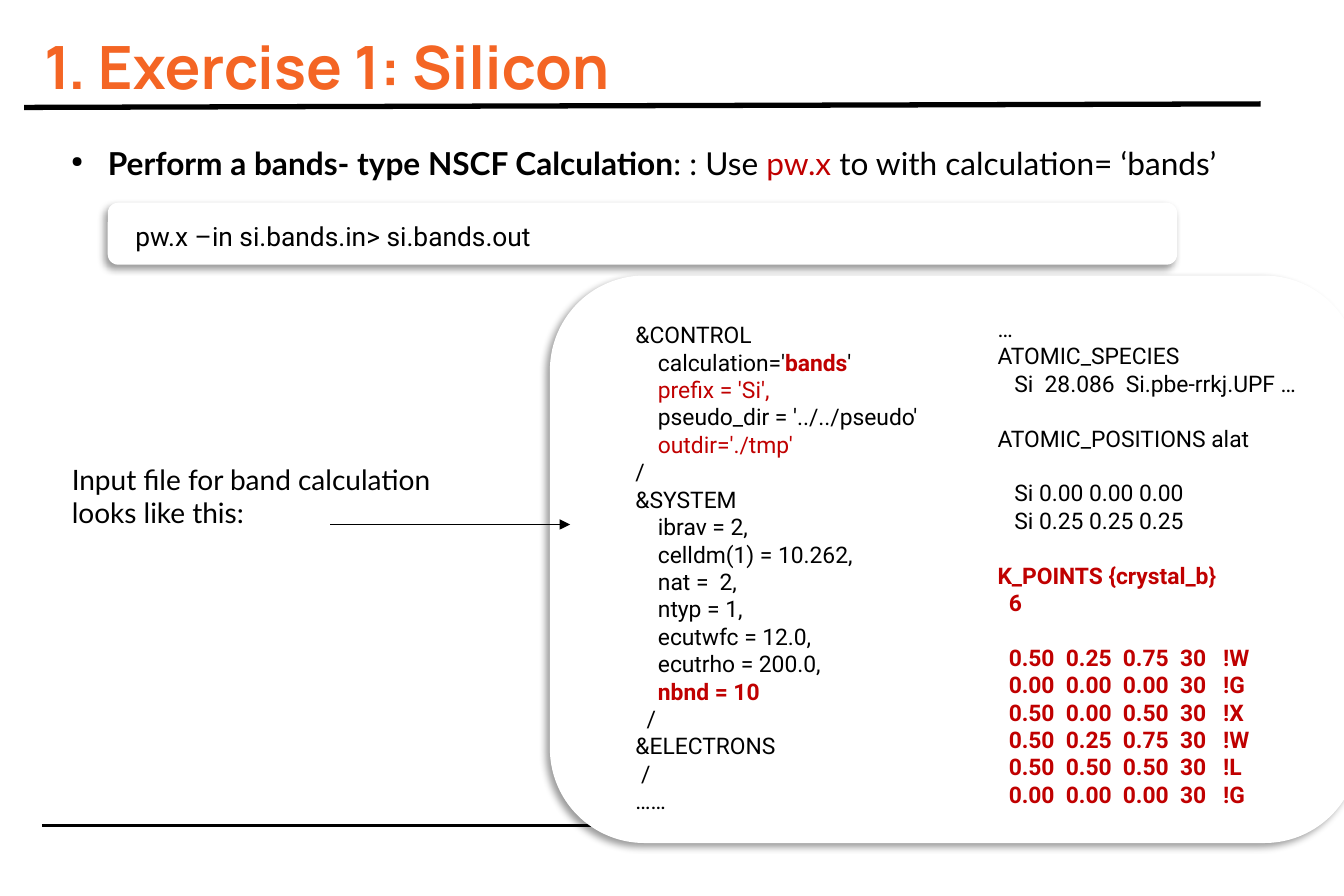
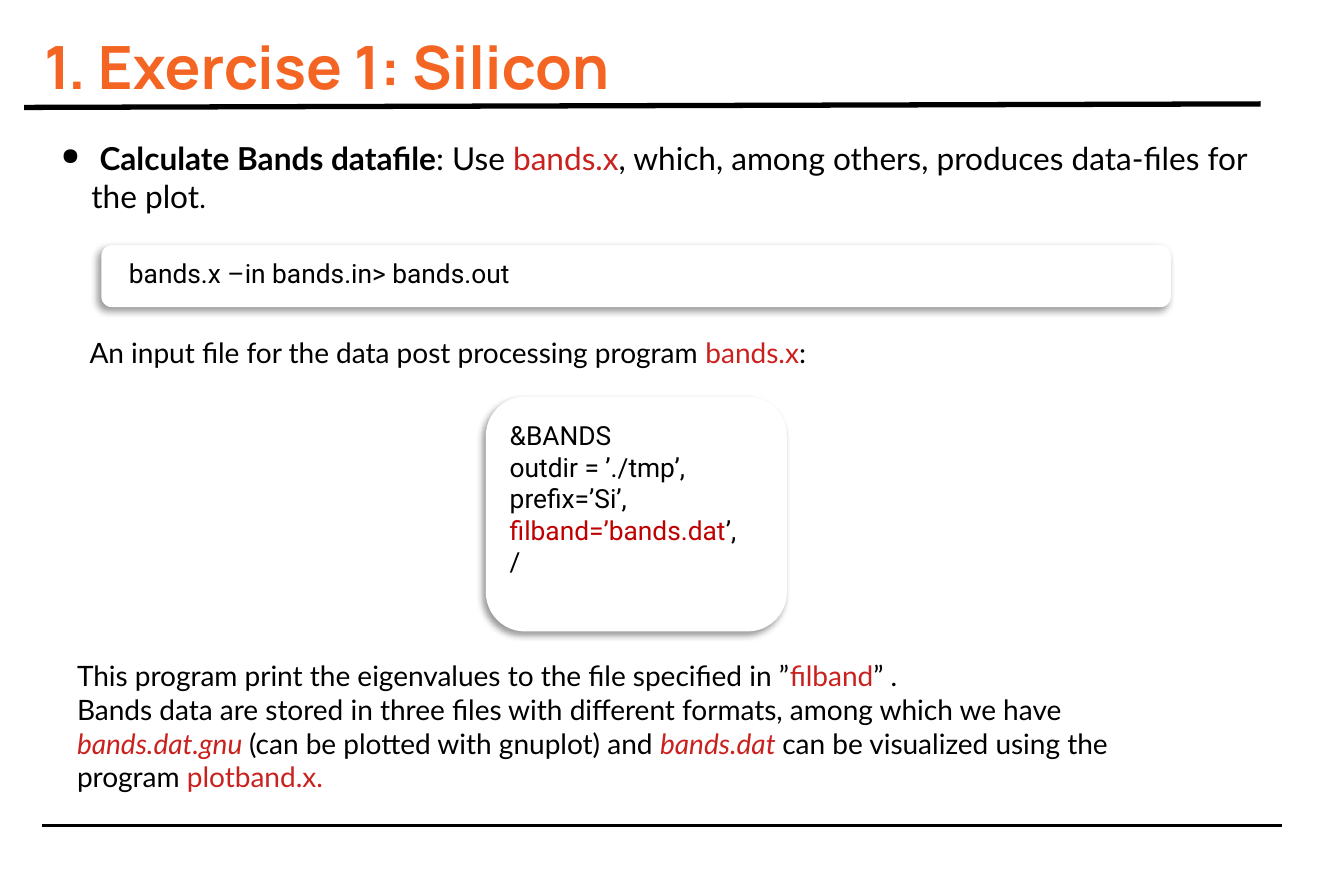
from lxml import etree
from pptx import Presentation
from pptx.dml.color import RGBColor
from pptx.enum import shapes, text
from pptx.oxml.ns import qn
from pptx.util import Pt

BLACK = RGBColor(0x00, 0x00, 0x00)
WHITE = RGBColor(0xFF, 0xFF, 0xFF)
ORANGE = RGBColor(0xF4, 0x65, 0x24)
DARK_RED = RGBColor(0xC0, 0x00, 0x00)
RED = RGBColor(0xC9, 0x21, 0x1E)

TITLE_FONT, BODY_FONT, CODE_FONT = "Manrope", "Lato", "Roboto"
CODE_STEP = 3.2     # width of one column of indent in a code listing
CODE_LINE = 15.6    # height of one line in a code listing

# Run styles
BOLD = {"bold": True}
KEY = {"color": DARK_RED}
KEY_BOLD = {"color": DARK_RED, "bold": True}
NAME = {"color": RED}
FILE = {"color": RED, "italic": True}
WIDE = {"tracking": CODE_STEP}
WIDER = {"tracking": 2 * CODE_STEP}

TITLE = "1. Exercise 1: Silicon"

BANDS_TASK = [
    (" ", {"size": 14}),
    ("Perform a bands- type NSCF Calculation", BOLD),
    ": : Use ", ("pw.x ", KEY), "to with calculation= ‘bands’",
]
BANDS_COMMAND = "pw.x –in si.bands.in> si.bands.out"
INPUT_NOTE = "Input file for band calculation looks like this:"

# Code lines: (indent in columns, blank lines above, runs)
CONTROL_CODE = [
    (0, 0, ["&CONTROL"]),
    (4, 0, ["calculation='", ("bands", KEY_BOLD), "'"]),
    (4, 0, [("prefix = 'Si',", KEY)]),
    (4, 0, ["pseudo_dir = '../../pseudo'"]),
    (4, 0, [("outdir='./tmp'", KEY)]),
    (0, 0, ["/"]),
    (0, 0, ["&SYSTEM"]),
    (4, 0, ["ibrav = 2,"]),
    (4, 0, ["celldm(1) = 10.262,"]),
    (4, 0, ["nat =", (" ", WIDE), "2,"]),
    (4, 0, ["ntyp = 1,"]),
    (4, 0, ["ecutwfc = 12.0,"]),
    (4, 0, ["ecutrho = 200.0,"]),
    (4, 0, [("nbnd = 10", KEY_BOLD)]),
    (2, 0, ["/"]),
    (0, 0, ["&ELECTRONS"]),
    (1, 0, ["/"]),
    (0, 0, ["……"]),
]
K_POINTS = [
    ("0.50", "0.25", "0.75", "30", "!W"),
    ("0.00", "0.00", "0.00", "30", "!G"),
    ("0.50", "0.00", "0.50", "30", "!X"),
    ("0.50", "0.25", "0.75", "30", "!W"),
    ("0.50", "0.50", "0.50", "30", "!L"),
    ("0.00", "0.00", "0.00", "30", "!G"),
]


def k_point_runs(point):
    """Join the values with widened spaces, widest before the label."""
    *values, label = point
    runs = []
    for value in values:
        gap = WIDER if value is values[-1] else WIDE
        runs += [(value, KEY_BOLD), (" ", {**KEY_BOLD, **gap})]
    return runs + [(label, KEY_BOLD)]


ATOMS_CODE = [
    (0, 0, ["…"]),
    (0, 0, ["ATOMIC_SPECIES"]),
    (3, 0, ["Si", (" ", WIDE), "28.086", (" ", WIDE), "Si.pbe-rrkj.UPF …"]),
    (0, 1, ["ATOMIC_POSITIONS alat"]),
    (3, 1, ["Si 0.00 0.00 0.00"]),
    (3, 0, ["Si 0.25 0.25 0.25"]),
    (0, 1, [("K_POINTS {crystal_b}", KEY_BOLD)]),
    (2, 0, [("6", KEY_BOLD)]),
] + [
    (2, int(row == 0), k_point_runs(point)) for row, point in enumerate(K_POINTS)
]

DATAFILE_TASK = [
    " ", ("Calculate Bands datafile", BOLD), ": Use ", ("bands.x", NAME),
    ", which, among others, produces data-files for the plot",
    (".", {"size": 16}),
]
DATAFILE_COMMAND = "bands.x –in bands.in> bands.out"
POST_NOTE = ["An input file for the data post processing program ",
             ("bands.x", NAME), ":"]
BANDS_CODE = [
    ["&BANDS"],
    ["outdir = ’./tmp’,"],
    ["prefix=’Si’,"],
    [("filband=’bands.dat", KEY), "’,"],
    ["/"],
]
RESULT_NOTES = [
    ["This program print the eigenvalues to the file specified in ”",
     ("filband", NAME), "” ."],
    ["Bands data are stored in three files with different formats, "
     "among which we have ",
     ("bands.dat.gnu ", FILE), "(can be plotted with gnuplot) and ",
     ("bands.dat ", FILE), "can be visualized using the program ",
     ("plotband.x.", NAME)],
]


def style_font(font, size=None, name=None, color=None, bold=None, italic=None):
    if size:
        font.size = Pt(size)
    if name:
        font.name = name
    if color is not None:
        font.color.rgb = color
    if bold is not None:
        font.bold = bold
    if italic is not None:
        font.italic = italic


def add_run(paragraph, content, tracking=None, **style):
    run = paragraph.add_run()
    run.text = content
    style_font(run.font, **style)
    if tracking:
        run._r.get_or_add_rPr().set("spc", str(round(tracking * 100)))


def write(frame, paragraphs, size, name, color=BLACK, bold=None):
    """Fill a text frame; each paragraph is a list of strings or (string, style)."""
    frame.word_wrap = True
    for index, runs in enumerate(paragraphs):
        paragraph = frame.add_paragraph() if index else frame.paragraphs[0]
        paragraph.alignment = text.PP_ALIGN.LEFT
        style_font(paragraph.font, size, name, color, bold)
        for item in runs:
            content, style = (item, {}) if isinstance(item, str) else item
            add_run(paragraph, content, **style)


def add_text(slide, box, paragraphs, size, name, **style):
    shape = slide.shapes.add_textbox(*map(Pt, box))
    write(shape.text_frame, paragraphs, size, name, **style)
    return shape.text_frame


def add_before_font(paragraph, tag, **attributes):
    """Add a paragraph property ahead of the default font, where it must stand."""
    element = etree.Element(qn(tag), attributes)
    paragraph._p.pPr.find(qn("a:defRPr")).addprevious(element)
    return element


def set_indent(paragraph, left, first=0):
    properties = paragraph._p.get_or_add_pPr()
    properties.set("marL", str(Pt(left)))
    properties.set("indent", str(Pt(first)))


def add_bullet_text(slide, box, runs, bullet_percent):
    paragraph = add_text(slide, box, [runs], 18, BODY_FONT).paragraphs[0]
    set_indent(paragraph, 17.3, -17.3)
    color = add_before_font(paragraph, "a:buClr")
    etree.SubElement(color, qn("a:srgbClr"), val=str(BLACK))
    add_before_font(paragraph, "a:buSzPct", val=str(bullet_percent * 1000))
    add_before_font(paragraph, "a:buChar", char="●")


def add_code(slide, box, lines):
    frame = add_text(slide, box, [line[2] for line in lines], 13, CODE_FONT)
    for paragraph, (indent, gap, _) in zip(frame.paragraphs, lines):
        set_indent(paragraph, indent * CODE_STEP)
        if gap:
            paragraph.space_before = Pt(gap * CODE_LINE)


def add_card(slide, box):
    """Add a white rounded panel with a soft shadow to the lower left."""
    card = slide.shapes.add_shape(shapes.MSO_SHAPE.ROUNDED_RECTANGLE, *map(Pt, box))
    card.fill.solid()
    card.fill.fore_color.rgb = WHITE
    card.line.fill.background()
    card.shadow.inherit = False
    effects = card._element.spPr.find(qn("a:effectLst"))
    shadow = etree.SubElement(
        effects, qn("a:outerShdw"), blurRad=str(Pt(4)), dist=str(Pt(3)),
        dir=str(135 * 60000), algn="tr", rotWithShape="0")
    color = etree.SubElement(shadow, qn("a:srgbClr"), val=str(BLACK))
    etree.SubElement(color, qn("a:alpha"), val="40000")
    return card


def add_command(slide, left, top, text_drop, command):
    add_card(slide, (left, top, 609, 35.3))
    add_text(slide, (left + 8.6, top + text_drop, 609, 25.2), [[command]],
             15, CODE_FONT)


def add_line(slide, start, end, width):
    line = slide.shapes.add_connector(
        shapes.MSO_CONNECTOR.STRAIGHT, *map(Pt, start + end))
    line.line.color.rgb = BLACK
    line.line.width = Pt(width)
    etree.SubElement(line._element.spPr, qn("a:effectLst"))
    return line


def add_slide(presentation):
    """Add a slide with the shared rules and title."""
    slide = presentation.slides.add_slide(presentation.slide_layouts[6])
    add_line(slide, (13.7, 61.2), (718, 59.2), 3)
    add_line(slide, (23.8, 470.2), (730, 470.2), 1.5)
    frame = add_text(slide, (17.3, 9, 733, 63.4), [[TITLE]], 34, TITLE_FONT,
                     color=ORANGE, bold=True)
    frame.margin_left = frame.margin_right = Pt(7.9)
    frame.margin_top = frame.margin_bottom = Pt(7.9)
    return slide


def build_bands_slide(presentation):
    slide = add_slide(presentation)
    add_card(slide, (313.2, 157, 460.8, 323.3))
    add_command(slide, 61.4, 115.5, 6.2, BANDS_COMMAND)
    add_bullet_text(slide, (33.5, 78.5, 731.5, 28.8), BANDS_TASK, 62)
    add_code(slide, (354.8, 179.3, 188.6, 290), CONTROL_CODE)
    add_code(slide, (561, 175.7, 188.6, 290), ATOMS_CODE)
    add_text(slide, (33.8, 259.8, 245.5, 46), [[INPUT_NOTE]], 16, BODY_FONT)
    arrow = add_line(slide, (188, 298.8), (324.7, 298.8), 0.75)
    outline = arrow.line._get_or_add_ln()
    etree.SubElement(outline, qn("a:tailEnd"), type="triangle")


def build_datafile_slide(presentation):
    slide = add_slide(presentation)
    add_text(slide, (43.9, 187.5, 650, 26.6), [POST_NOTE], 16, BODY_FONT)
    card = add_card(slide, (276.7, 226, 171.4, 133.8))
    write(card.text_frame, BANDS_CODE, 15, CODE_FONT)
    card.text_frame.vertical_anchor = text.MSO_ANCHOR.MIDDLE
    card.text_frame.margin_bottom = Pt(21.6)
    add_command(slide, 57.8, 139.7, 3.3, DATAFILE_COMMAND)
    add_bullet_text(slide, (27.7, 75.6, 704.9, 36), DATAFILE_TASK, 75)
    add_text(slide, (36.8, 371.8, 650, 85), RESULT_NOTES, 16, BODY_FONT)


def main():
    presentation = Presentation()
    presentation.slide_width, presentation.slide_height = Pt(765.4), Pt(510.5)
    build_bands_slide(presentation)
    build_datafile_slide(presentation)
    presentation.save("out.pptx")


if __name__ == "__main__":
    main()
